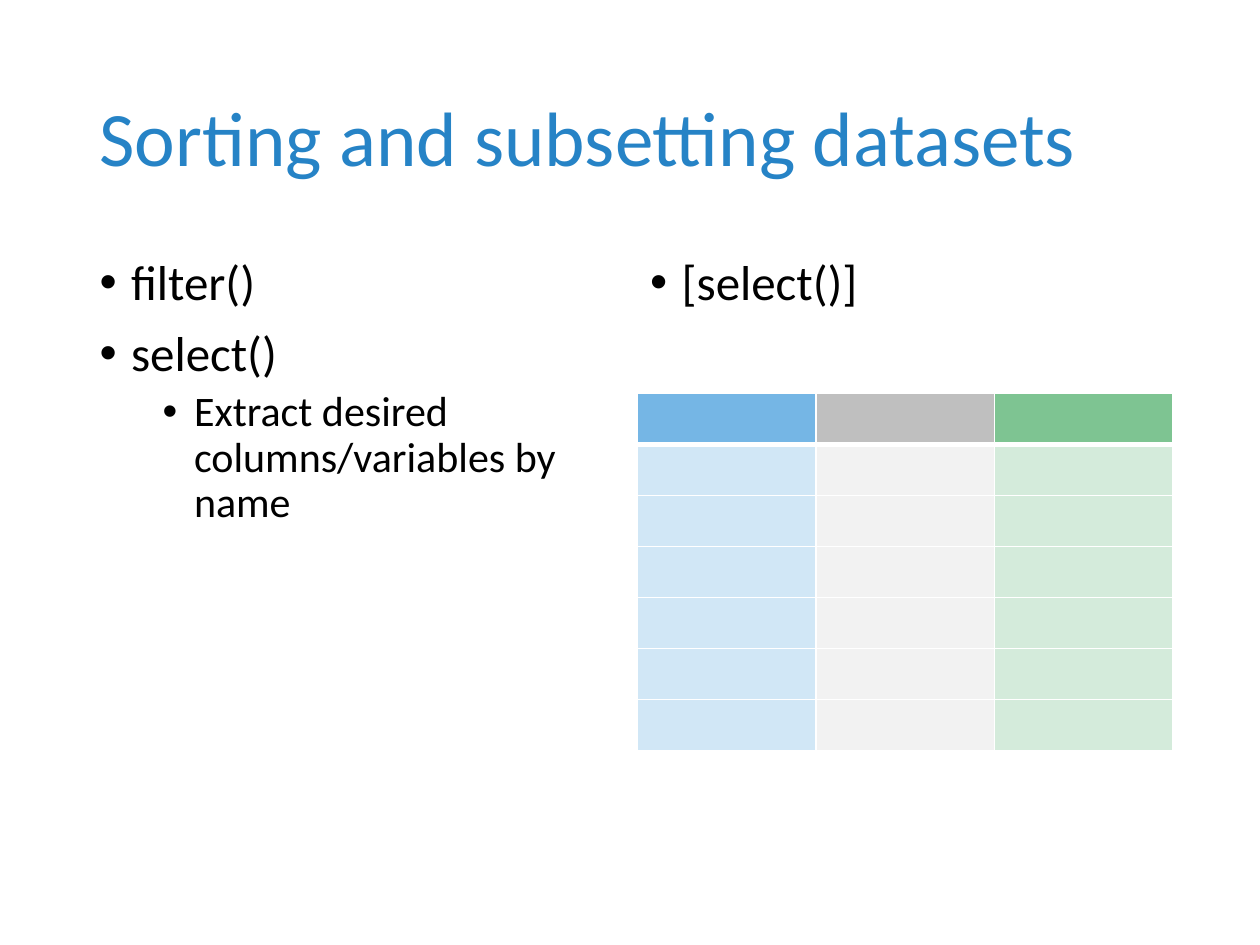
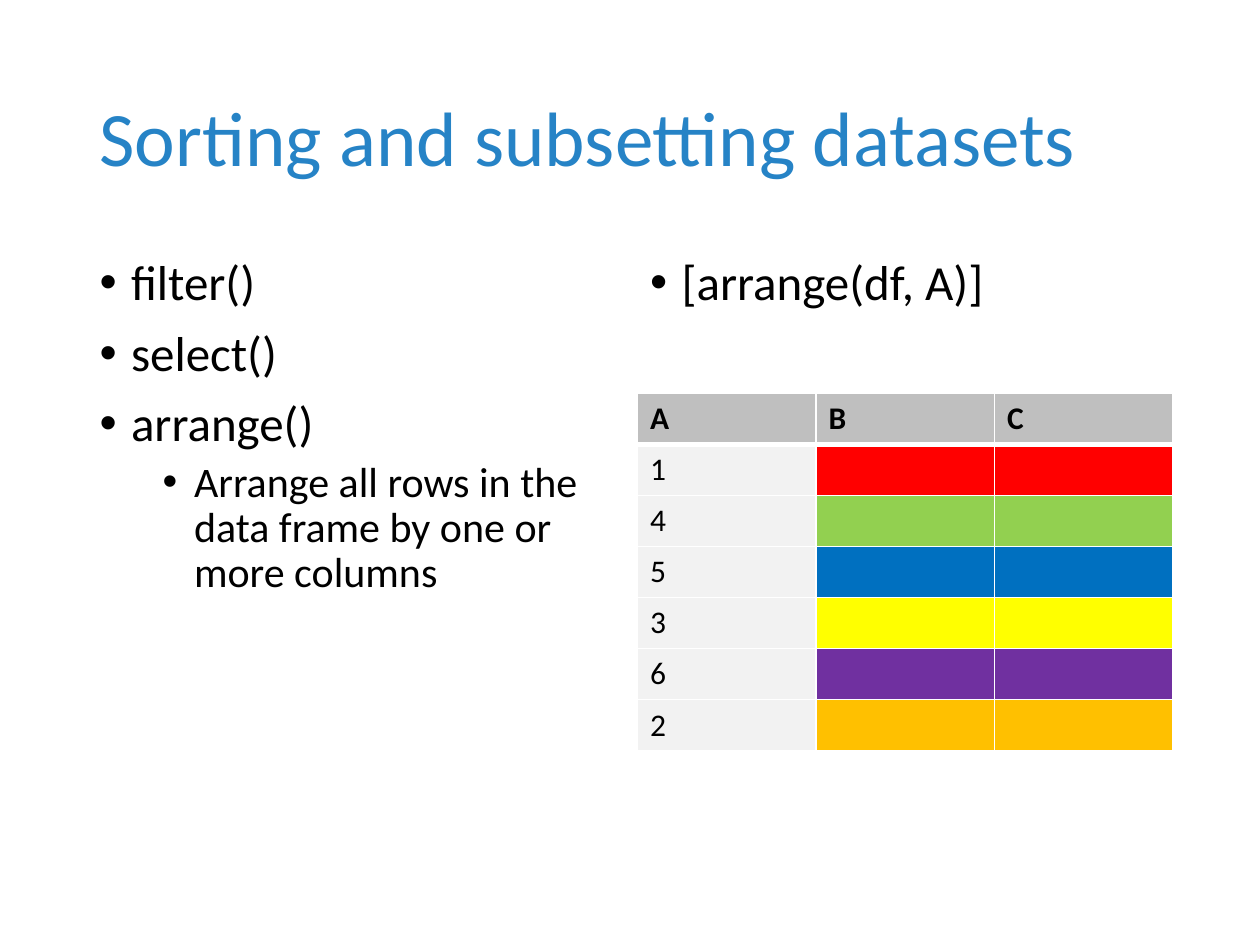
from lxml.etree import SubElement
from pptx import Presentation
from pptx.dml.color import RGBColor
from pptx.enum.text import MSO_ANCHOR, MSO_AUTO_SIZE, PP_ALIGN
from pptx.oxml.ns import qn
from pptx.util import Inches, Pt

FONT = "Calibri"
BLACK, WHITE, ACCENT = "000000", "FFFFFF", "2683C6"
GREY, PALE = "BFBFBF", "F2F2F2"
TITLE = "Sorting and subsetting datasets"
TITLE_BOX = (0.69, 0.4, 8.62, 1.45)
LEFT_BOX = (0.69, 2, 4.25, 4.76)
RIGHT_BOX = (5.06, 2, 4.25, 4.76)
TABLE_BOX = (5.06, 3.12, 4.25, 2.84)
# Per list level: text size, space before, left indent
LEVELS = [(28, 10, 0.25), (24, 5, 0.75)]
HANG = 0.25


def color(value):
    return RGBColor.from_string(value)


def write(para, text, size=18, tint=BLACK, bold=False, spacing=None, before=0):
    para.alignment = PP_ALIGN.LEFT
    para.space_before = Pt(before)
    if spacing:
        para.line_spacing = spacing
    run = para.add_run()
    run.text = text
    font = run.font
    font.name, font.size, font.bold = FONT, Pt(size), bold
    font.color.rgb = color(tint)


def place(holder, box, anchor):
    """Move a placeholder to a box and return its text frame."""
    holder.left, holder.top, holder.width, holder.height = map(Inches, box)
    frame = holder.text_frame
    frame.word_wrap = True
    frame.auto_size = MSO_AUTO_SIZE.NONE
    frame.vertical_anchor = anchor
    return frame


def add_bullet(para, indent):
    props = para._p.get_or_add_pPr()
    props.set("marL", str(Inches(indent)))
    props.set("indent", str(-Inches(HANG)))
    SubElement(props, qn("a:buFont")).set("typeface", "Arial")
    SubElement(props, qn("a:buChar")).set("char", "•")


def fill_list(holder, box, items):
    """Write (level, text) items as bullets."""
    frame = place(holder, box, MSO_ANCHOR.TOP)
    for i, (level, text) in enumerate(items):
        para = frame.add_paragraph() if i else frame.paragraphs[0]
        size, before, indent = LEVELS[level]
        para.level = level
        add_bullet(para, indent)
        write(para, text, size=size, spacing=0.9, before=before if i else 0)


def add_border(cell, side, width):
    line = SubElement(cell._tc.get_or_add_tcPr(), qn(f"a:ln{side}"))
    line.set("w", str(Pt(width)))
    paint = SubElement(line, qn("a:solidFill"))
    SubElement(paint, qn("a:srgbClr")).set("val", WHITE)


def add_grid(slide, box, fills, texts):
    """Draw a table from rows of fills; texts maps (row, column) to wording."""
    rows, cols = len(fills), len(fills[0])
    left, top, width, height = box
    table = slide.shapes.add_table(rows, cols, *map(Inches, box)).table
    for col in table.columns:
        col.width = Inches(width / cols)
    for row in table.rows:
        row.height = Inches(height / rows)
    for r, tints in enumerate(fills):
        for c, tint in enumerate(tints):
            cell = table.cell(r, c)
            for side in "LRTB":
                thick = (r, side) in ((0, "B"), (1, "T"))
                add_border(cell, side, 3 if thick else 1)
            cell.fill.solid()
            cell.fill.fore_color.rgb = color(tint)
            if (r, c) in texts:
                write(cell.text_frame.paragraphs[0], texts[r, c], bold=r == 0)


def add_page(deck, items, call, fills, texts):
    slide = deck.slides.add_slide(deck.slide_layouts.get_by_name("Two Content"))
    title, left, right = slide.placeholders
    frame = place(title, TITLE_BOX, MSO_ANCHOR.MIDDLE)
    write(frame.paragraphs[0], TITLE, size=44, tint=ACCENT, spacing=0.9)
    fill_list(left, LEFT_BOX, items)
    fill_list(right, RIGHT_BOX, [(0, call)])
    add_grid(slide, TABLE_BOX, fills, texts)


def main():
    deck = Presentation()
    deck.slide_width, deck.slide_height = Inches(10), Inches(7.5)

    columns = [["75B6E5", GREY, "7EC492"]] + [["D1E7F6", PALE, "D4EBDB"]] * 6
    add_page(
        deck,
        [(0, "filter()"), (0, "select()"),
         (1, "Extract desired columns/variables by name")],
        "[select()]", columns, {})

    records = [("1", "FF0000"), ("4", "92D050"), ("5", "0070C0"),
               ("3", "FFFF00"), ("6", "7030A0"), ("2", "FFC000")]
    fills = [[GREY] * 3] + [[PALE, tint, tint] for _, tint in records]
    texts = {(0, c): name for c, name in enumerate("ABC")}
    texts.update({(r, 0): key for r, (key, _) in enumerate(records, 1)})
    add_page(
        deck,
        [(0, "filter()"), (0, "select()"), (0, "arrange()"),
         (1, "Arrange all rows in the data frame by one or more columns")],
        "[arrange(df, A)]", fills, texts)

    deck.save("out.pptx")


if __name__ == "__main__":
    main()
